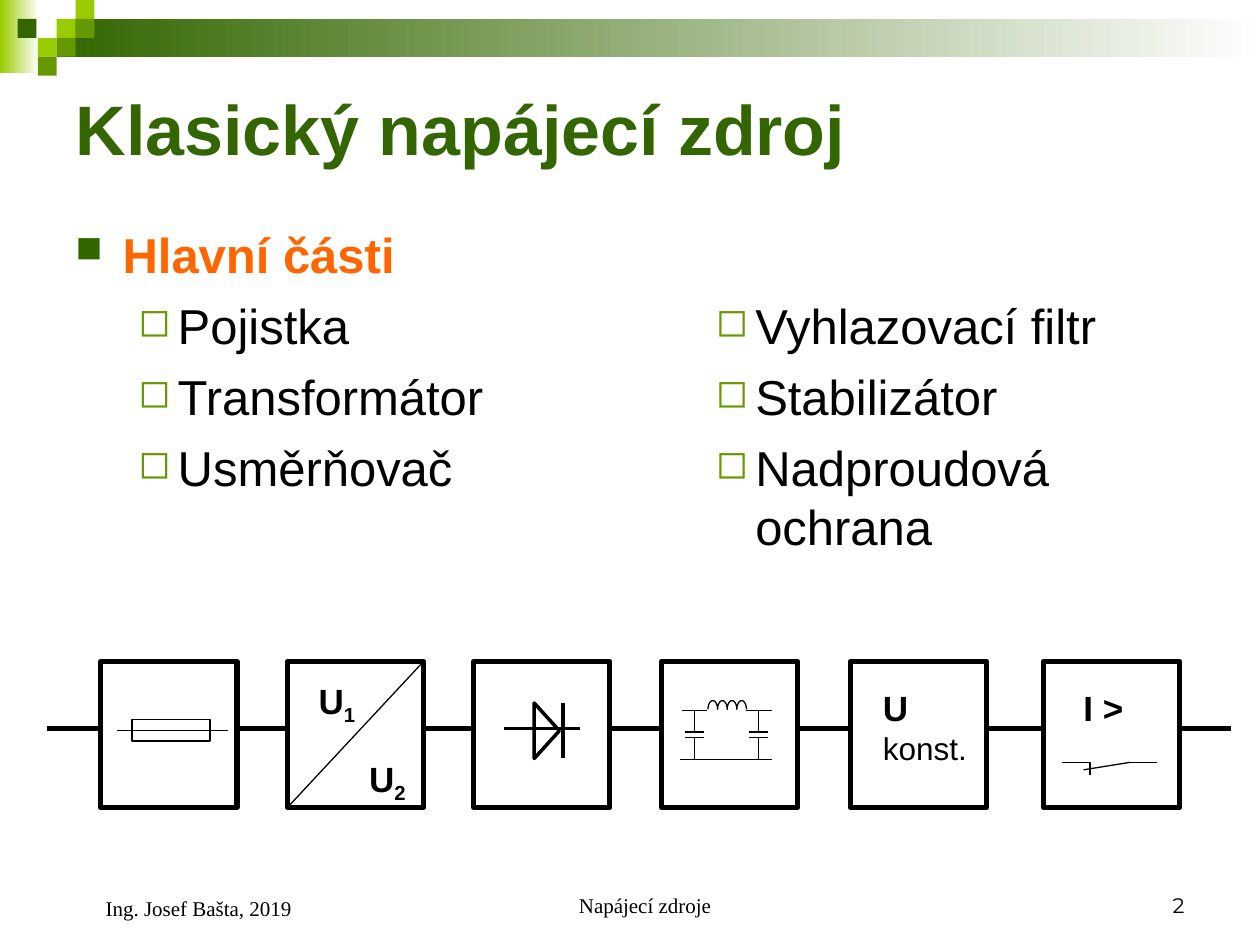
import math
import pptx
import pptx.util
import pptx.dml.color
import pptx.enum.shapes
import pptx.enum.text
import pptx.oxml.ns
import lxml.etree

Pt = pptx.util.Pt
Color = pptx.dml.color.RGBColor
Kind = pptx.enum.shapes.MSO_SHAPE
Align = pptx.enum.text.PP_ALIGN
Anchor = pptx.enum.text.MSO_ANCHOR
qn = pptx.oxml.ns.qn

DARK = Color(0x33, 0x66, 0x00)
GREEN = Color(0x66, 0x99, 0x00)
LIME = Color(0x99, 0xCC, 0x00)
ORANGE = Color(0xFF, 0x66, 0x00)
BLACK = Color(0, 0, 0)
WHITE = Color(0xFF, 0xFF, 0xFF)

CELL_W, CELL_H = 77.8, 83.5
THIN, MID, THICK = 0.75, 2, 3


def write(frame, text, size=20, color=BLACK, bold=False, name="Arial", align=Align.LEFT,
          join=False, base=0, left=0, hang=0, gap=0, level=0, bullet=None):
    para = frame.paragraphs[-1]
    if para.runs and not join:
        para = frame.add_paragraph()
        para.space_before = Pt(gap)
    if not join:
        para.alignment = align
        para.level = level
        props = para._p.get_or_add_pPr()
        props.set("marL", str(Pt(left)))
        props.set("indent", str(Pt(-hang)))
        if bullet:
            sign, tint, scale = bullet
            tone = lxml.etree.SubElement(props, qn("a:buClr"))
            lxml.etree.SubElement(tone, qn("a:srgbClr"), val=str(tint))
            lxml.etree.SubElement(props, qn("a:buSzPct"), val=str(scale * 1000))
            lxml.etree.SubElement(props, qn("a:buChar"), char=sign)
    run = para.add_run()
    run.text = text
    run.font.size = Pt(size)
    run.font.bold = bold
    run.font.name = name
    run.font.color.rgb = color
    if base:
        run._r.get_or_add_rPr().set("baseline", str(base * 1000))


def frame(slide, x, y, w, h, anchor=Anchor.TOP):
    area = slide.shapes.add_textbox(Pt(x), Pt(y), Pt(w), Pt(h)).text_frame
    area.word_wrap = True
    area.vertical_anchor = anchor
    return area


def line(slide, x1, y1, x2, y2, width=THIN):
    link = slide.shapes.add_connector(
        pptx.enum.shapes.MSO_CONNECTOR.STRAIGHT, Pt(x1), Pt(y1), Pt(x2), Pt(y2))
    link.line.color.rgb = BLACK
    link.line.width = Pt(width)
    lxml.etree.SubElement(link._element.spPr, qn("a:effectLst"))


def ink(shape, width):
    shape.shadow.inherit = False
    shape.fill.background()
    shape.line.color.rgb = BLACK
    shape.line.width = Pt(width)


def outline(slide, kind, x, y, w, h, width):
    shape = slide.shapes.add_shape(kind, Pt(x), Pt(y), Pt(w), Pt(h))
    ink(shape, width)
    return shape


def block(slide, x, y, w, h, color, fade=False):
    shape = slide.shapes.add_shape(Kind.RECTANGLE, Pt(x), Pt(y), Pt(w), Pt(h))
    shape.shadow.inherit = False
    shape.line.fill.background()
    if fade:
        shape.fill.gradient()
        shape.fill.gradient_angle = 0
        for stop, tint in zip(shape.fill.gradient_stops, (color, WHITE)):
            stop.color.rgb = tint
    else:
        shape.fill.solid()
        shape.fill.fore_color.rgb = color


def banner(slide, x, y, w):
    unit = 10.8
    block(slide, x, y, 22.3, 41.8, LIME, fade=True)
    block(slide, x + 3 * unit, y + unit, w - 3 * unit, 21.6, DARK, fade=True)
    tiles = ((3, 1, LIME), (4, 0, LIME), (4, 1, GREEN), (2, 2, LIME),
             (0.93, 1, DARK), (3, 2, GREEN), (2, 3, GREEN))
    for col, row, color in tiles:
        block(slide, x + col * unit, y + row * unit, unit, unit, color)


def title(slide, x, y, w, h):
    head = slide.shapes.title
    head.left, head.top, head.width, head.height = Pt(x), Pt(y), Pt(w), Pt(h)
    area = head.text_frame
    area.auto_size = pptx.enum.text.MSO_AUTO_SIZE.NONE
    area.vertical_anchor = Anchor.MIDDLE
    write(area, "Klasický napájecí zdroj", size=40, color=DARK, bold=True)


def column(slide, x, y, w, h, items, head=None):
    area = frame(slide, x, y, w, h)
    if head:
        write(area, head, size=28, color=ORANGE, bold=True, left=27, hang=27,
              bullet=("■", DARK, 75))
    for item in items:
        write(area, item, size=28, left=58.5, hang=22.5, gap=7, level=1,
              bullet=("◻", GREEN, 80))


def fuse(slide, x, y):
    outline(slide, Kind.RECTANGLE, x + 18, y + 33.1, 44.6, 12.2, 1)
    line(slide, x + 9.4, y + 39.6, x + 72.7, y + 39.6)


def trafo(slide, x, y):
    line(slide, x, y + CELL_H, x + CELL_W, y)
    for digit, left, top, wide in (("1", 10.8, 6.5, 41), ("2", 39.6, 51.1, 46.8)):
        area = frame(slide, x + left, y + top, wide, 34.6)
        write(area, "U", bold=True)
        write(area, digit, bold=True, join=True, base=-25)


def diode(slide, x, y):
    line(slide, x + 17.3, y + 38.2, x + 60.5, y + 38.2, MID)
    outline(slide, Kind.ISOSCELES_TRIANGLE, x + 25.9, y + 32.4, 31.7, 14.4, MID).rotation = 90
    line(slide, x + 51.1, y + 23.8, x + 51.1, y + 55.4, MID)


def filter_cell(slide, x, y):
    turn, rise, steps = 5.5, 5, 12
    start, level = x + 26.6, y + 27.4
    points = []
    for loop in range(4):
        for step in range(steps + 1):
            angle = math.pi * step / steps
            points.append((Pt(start + turn * (loop + (1 - math.cos(angle)) / 2)),
                           Pt(level - rise * math.sin(angle))))
    coil = slide.shapes.build_freeform(*points[0])
    coil.add_line_segments(points[1:], close=False)
    ink(coil.convert_to_shape(), THIN)
    for left, right, high in ((11.5, 25.9, 28.1), (48.2, 63.4, 28.1), (10.8, 63.4, 56.2)):
        line(slide, x + left, y + high, x + right, y + high)
    for mid in (x + 18.7, x + 55.4):
        for plate, end in ((40.3, 28.1), (43.5, 56.2)):
            line(slide, mid - 5.4, y + plate, mid + 5.4, y + plate)
            line(slide, mid, y + plate, mid, y + end)


def steady(slide, x, y):
    area = frame(slide, x + 11.5, y + 10.8, 72, 53.3)
    write(area, "U", bold=True)
    area.paragraphs[0].add_line_break()
    write(area, "konst.", size=18, join=True)


def guard(slide, x, y):
    write(frame(slide, x + 15.8, y + 10.8, 72, 55.4), "I >", bold=True)
    for x1, y1, x2, y2 in ((10.8, 57.6, 26.6, 57.6), (49, 57.6, 64.8, 57.6),
                           (26.6, 57.6, 26.6, 64.8), (23, 61.9, 49.7, 57.6)):
        line(slide, x + x1, y + y1, x + x2, y + y2)


def chain(slide, x, y, w):
    cells = ((31, fuse), (137.6, trafo), (244.1, diode),
             (351.4, filter_cell), (459.4, steady), (569.6, guard))
    wire = y + 38.2
    last = x
    for left, draw in cells:
        line(slide, last, wire, x + left, wire, THICK)
        outline(slide, Kind.RECTANGLE, x + left, y, CELL_W, CELL_H, THICK)
        draw(slide, x + left, y)
        last = x + left + CELL_W
    line(slide, last, wire, x + w, wire, THICK)


def footer(slide, x, y, w, h):
    serif = "Times New Roman"
    parts = (("Ing. Josef Bašta, 2019", 0, 168, 1.4, serif, Align.LEFT, 17.3),
             ("Napájecí zdroje", 210, 228, 0, serif, Align.CENTER, 17.3),
             ("2", w - 168, 168, 0, "Montserrat", Align.RIGHT, 0))
    for text, left, wide, drop, name, align, inset in parts:
        area = frame(slide, x + left, y, wide, h + drop, Anchor.BOTTOM)
        write(area, text, size=12, name=name, align=align, left=inset)


def main():
    deck = pptx.Presentation()
    deck.slide_width, deck.slide_height = Pt(720), Pt(540)
    slide = deck.slides.add_slide(deck.slide_layouts[5])
    banner(slide, 0, 0, 720)
    title(slide, 36, 36, 648, 74)
    column(slide, 36, 124.6, 318, 351, ("Pojistka", "Transformátor", "Usměrňovač"),
           head="Hlavní části")
    column(slide, 366, 165.3, 318, 310,
           ("Vyhlazovací filtr", "Stabilizátor", "Nadproudová ochrana"))
    chain(slide, 26.6, 378, 676.8)
    footer(slide, 36, 492, 648, 36)
    deck.save("out.pptx")


if __name__ == "__main__":
    main()
